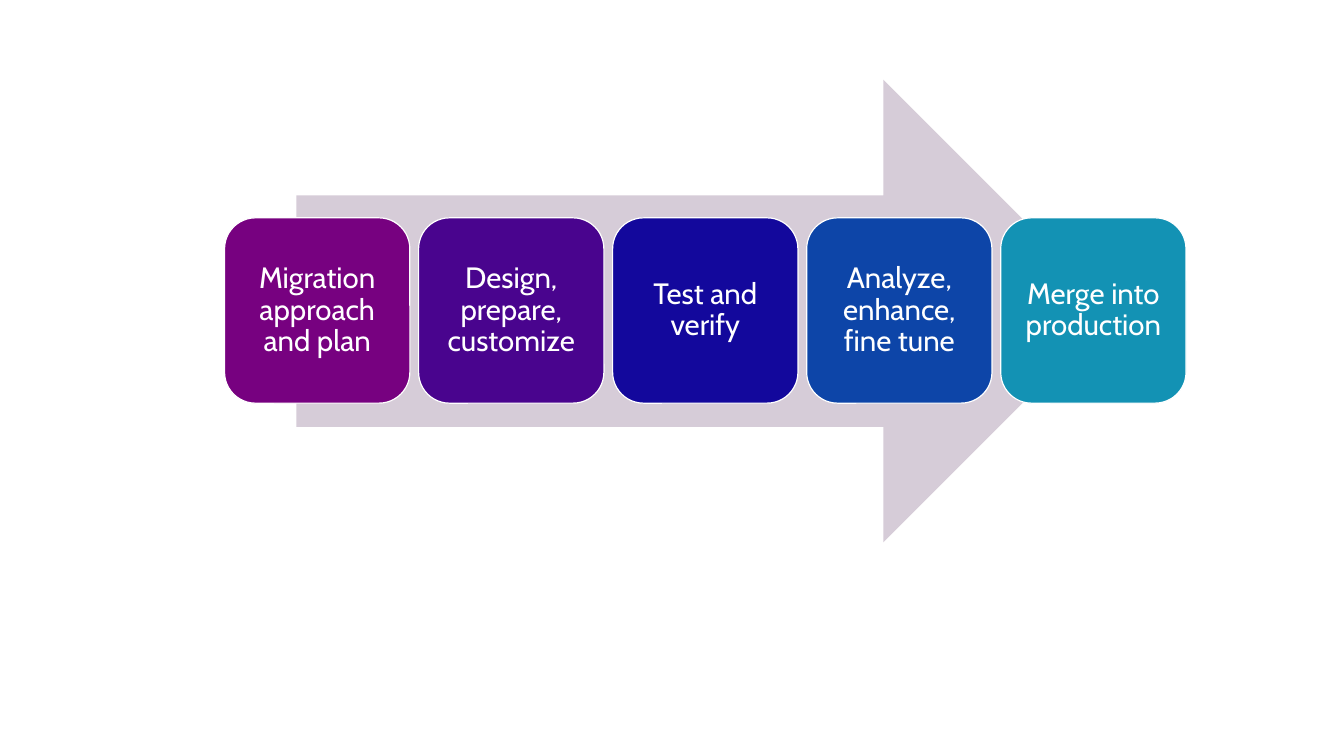
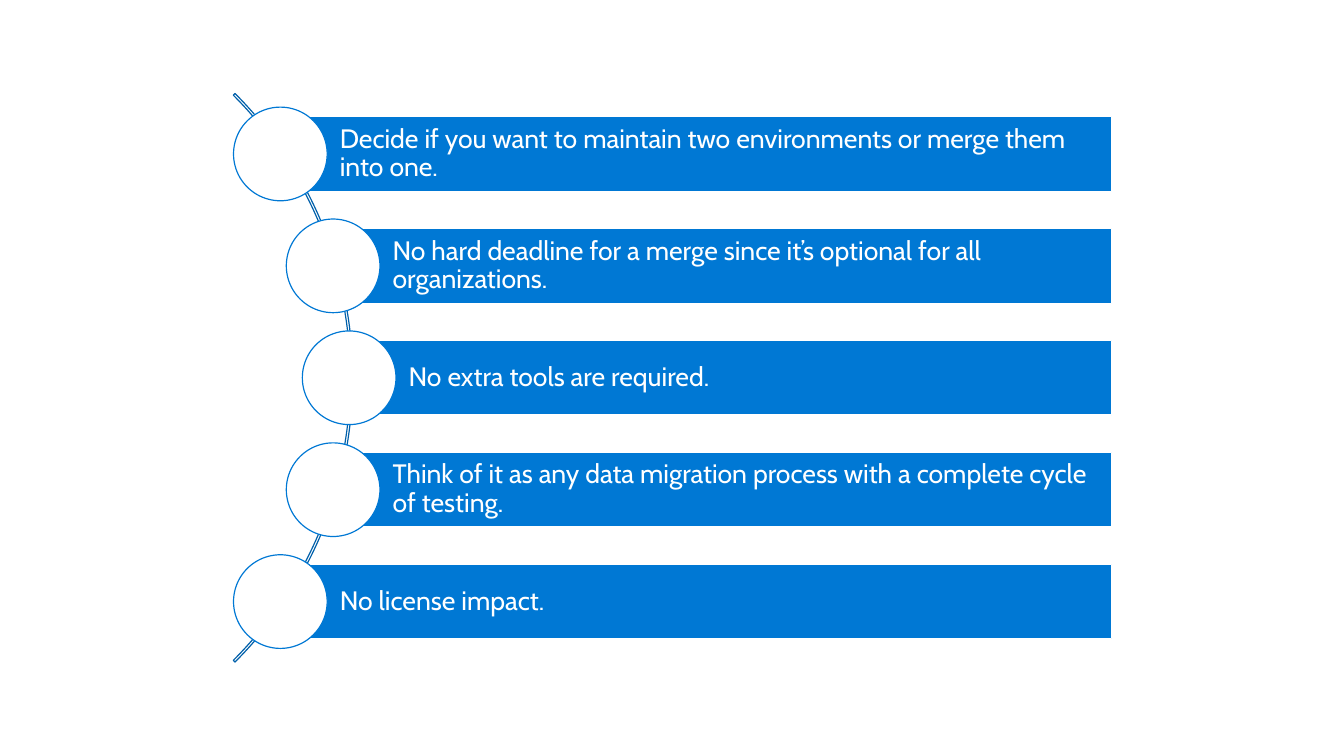
from math import sqrt

from pptx import Presentation
from pptx.dml.color import RGBColor
from pptx.enum.shapes import MSO_SHAPE
from pptx.enum.text import MSO_ANCHOR, PP_ALIGN
from pptx.util import Cm, Pt

# Shared style
FONT = "Cabin"
LINE_WIDTH = Pt(0.85)
WHITE = RGBColor(0xFF, 0xFF, 0xFF)
ARROW_GREY = RGBColor(0xD6, 0xCC, 0xD8)
BLUE = RGBColor(0x00, 0x78, 0xD4)
DARK_BLUE = RGBColor(0x00, 0x60, 0xAA)

RIGHT_ARROW = MSO_SHAPE.RIGHT_ARROW
ROUNDED = MSO_SHAPE.ROUNDED_RECTANGLE
RECTANGLE = MSO_SHAPE.RECTANGLE
OVAL = MSO_SHAPE.OVAL
BLOCK_ARC = MSO_SHAPE.BLOCK_ARC
MIDDLE = MSO_ANCHOR.MIDDLE
LEFT, CENTER = PP_ALIGN.LEFT, PP_ALIGN.CENTER

# Content
STEPS = [
    ("Migration approach and plan", RGBColor(0x77, 0x01, 0x80)),
    ("Design, prepare, customize", RGBColor(0x49, 0x04, 0x8E)),
    ("Test and verify", RGBColor(0x13, 0x08, 0x9C)),
    ("Analyze, enhance, fine tune", RGBColor(0x0D, 0x45, 0xA8)),
    ("Merge into production", RGBColor(0x13, 0x92, 0xB4)),
]
POINTS = [
    "Decide if you want to maintain two environments or merge them into one.",
    "No hard deadline for a merge since it’s optional for all organizations.",
    "No extra tools are required.",
    "Think of it as any data migration process with a complete cycle of testing.",
    "No license impact.",
]


def add_shape(slide, kind, left, top, width, height, fill=None, line=None):
    """Add a flat preset shape; lengths are in centimetres."""
    shape = slide.shapes.add_shape(kind, Cm(left), Cm(top), Cm(width), Cm(height))
    shape.shadow.inherit = False
    if fill is None:
        shape.fill.background()
    else:
        shape.fill.solid()
        shape.fill.fore_color.rgb = fill
    if line is None:
        shape.line.fill.background()
    else:
        shape.line.color.rgb = line
        shape.line.width = LINE_WIDTH
    return shape


def set_text(shape, text, size, alignment, inset, left_inset):
    """Write one white, vertically centred paragraph into a shape."""
    frame = shape.text_frame
    frame.word_wrap = True
    frame.vertical_anchor = MIDDLE
    frame.margin_left = Cm(left_inset)
    frame.margin_top = frame.margin_right = frame.margin_bottom = Cm(inset)
    frame.text = text
    paragraph = frame.paragraphs[0]
    paragraph.alignment = alignment
    paragraph.line_spacing = 0.9
    font = paragraph.runs[0].font
    font.name = FONT
    font.size = Pt(size)
    font.color.rgb = WHITE


def add_process(slide):
    """Five coloured steps on a wide arrow."""
    first_left, top, side, pitch = 5.66, 5.49, 4.67, 4.89
    add_shape(slide, RIGHT_ARROW, 7.47, 2.01, 20.62, 11.66, ARROW_GREY)
    for index, (text, color) in enumerate(STEPS):
        step = add_shape(slide, ROUNDED, first_left + index * pitch, top,
                         side, side, color, WHITE)
        # The rounded corners already hold the text in from the sides
        set_text(step, text, 21, CENTER, 0.2, 0.2)


def add_curved_list(slide):
    """Bars that start at circles strung along an arc."""
    center_x, center_y, outer_radius, radius = -1.24, 9.52, 10.13, 10.04
    bar_right, bar_height, pitch, circle_size = 28.02, 1.88, 2.82, 2.36

    # Arc from 315 to 45 degrees
    arc = add_shape(slide, BLOCK_ARC, center_x - outer_radius, center_y - outer_radius,
                    2 * outer_radius, 2 * outer_radius, line=DARK_BLUE)
    for index, value in enumerate((189, 27, 0.003)):
        arc.adjustments[index] = value

    # Each bar begins where its height meets the arc
    for index, text in enumerate(POINTS):
        offset = (index - (len(POINTS) - 1) / 2) * pitch
        x = center_x + sqrt(radius ** 2 - offset ** 2)
        y = center_y + offset
        bar = add_shape(slide, RECTANGLE, x, y - bar_height / 2,
                        bar_right - x, bar_height, BLUE, WHITE)
        set_text(bar, text, 19, LEFT, 0.13, 1.5)
        add_shape(slide, OVAL, x - circle_size / 2, y - circle_size / 2,
                  circle_size, circle_size, WHITE, BLUE)


def main():
    presentation = Presentation()
    presentation.slide_width = Cm(33.87)
    presentation.slide_height = Cm(19.05)
    blank = presentation.slide_layouts[6]
    for build in (add_process, add_curved_list):
        build(presentation.slides.add_slide(blank))
    presentation.save("out.pptx")


if __name__ == "__main__":
    main()
